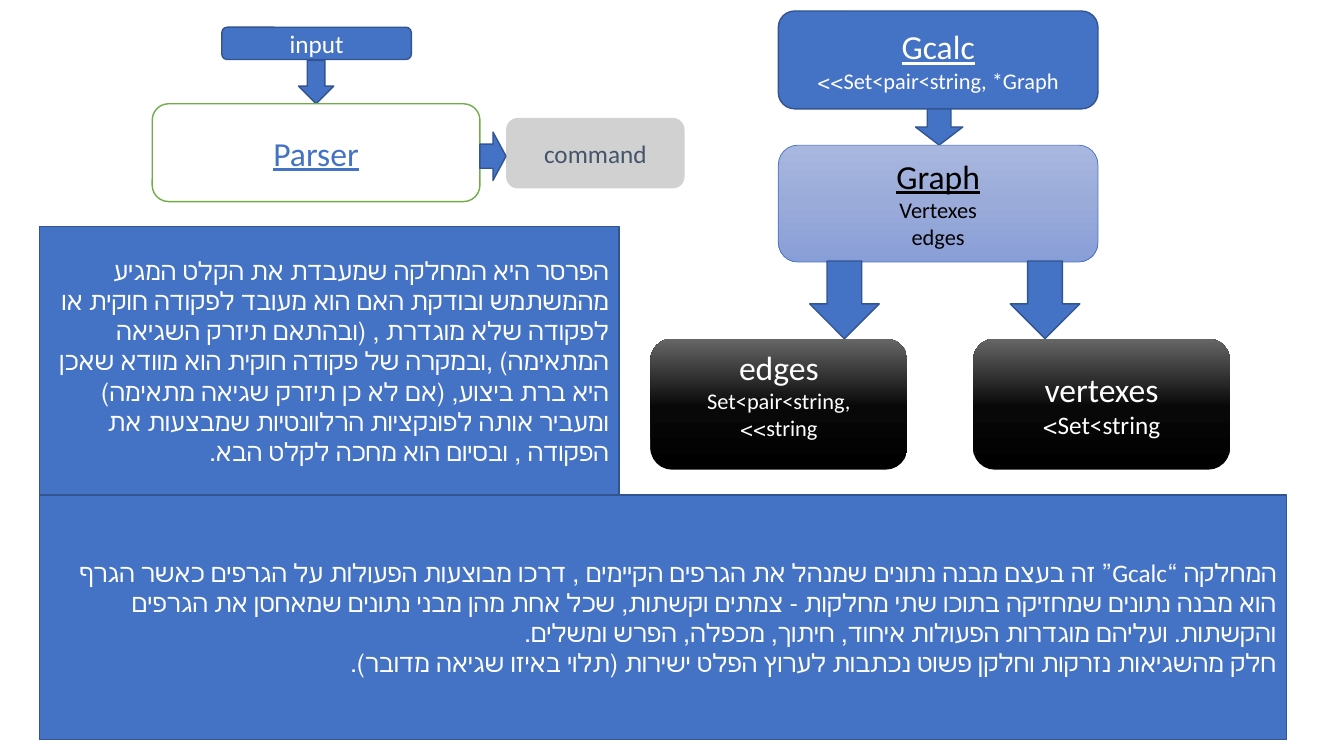
from copy import deepcopy

from lxml import etree
from pptx import Presentation
from pptx.dml.color import RGBColor
from pptx.enum import shapes, text
from pptx.oxml.ns import qn
from pptx.util import Inches, Pt

BLUE = RGBColor(0x44, 0x72, 0xC4)
EDGE = RGBColor(0x32, 0x54, 0x91)
GREEN = RGBColor(0x70, 0xAD, 0x47)
GRAY = RGBColor(0xA5, 0xA5, 0xA5)
SLATE = RGBColor(0x44, 0x54, 0x6A)
WHITE = RGBColor(0xFF, 0xFF, 0xFF)
BLACK = RGBColor(0, 0, 0)
SKY = [(0, RGBColor(0xA8, 0xB7, 0xDF)), (0.5, RGBColor(0x9A, 0xAB, 0xD9)),
       (1, RGBColor(0x88, 0x9E, 0xD7))]
COAL = [(0, BLACK), (0.48, RGBColor(8, 8, 8)), (1, RGBColor(0x66, 0x66, 0x66))]

KIND = shapes.MSO_SHAPE
ROUND, RECT = KIND.ROUNDED_RECTANGLE, KIND.RECTANGLE
DOWN, RIGHT = KIND.DOWN_ARROW, KIND.RIGHT_ARROW
MID, END = text.PP_ALIGN.CENTER, text.PP_ALIGN.RIGHT


def blend(shape, stops, angle):
    """Fill with three stops; the angle runs counter-clockwise."""
    fill = shape.fill
    fill.gradient()
    fill.gradient_angle = angle
    grid = shape._element.spPr.find(".//" + qn("a:gsLst"))
    grid.append(deepcopy(grid[-1]))
    for stop, (place, color) in zip(fill.gradient_stops, stops):
        stop.position = place
        stop.color.rgb = color


def fade(shape, share):
    """Set the opacity of a solid fill, in percent."""
    color = shape._element.spPr.find(".//" + qn("a:srgbClr"))
    etree.SubElement(color, qn("a:alpha")).set("val", str(share * 1000))


def block(slide, kind, box, fill=BLUE, line=EDGE, width=1, angle=270):
    shape = slide.shapes.add_shape(kind, *map(Inches, box))
    shape.shadow.inherit = False
    if isinstance(fill, list):
        blend(shape, fill, angle)
    else:
        shape.fill.solid()
        shape.fill.fore_color.rgb = fill
    if line is None:
        shape.line.fill.background()
    else:
        shape.line.color.rgb = line
        shape.line.width = Pt(width)
    return shape


def write(shape, *lines, color=WHITE, size=18, head=None, under=False,
          align=MID, lift=0, side=0.1):
    """Write right-to-left lines; head is the size of the first one."""
    frame = shape.text_frame
    frame.word_wrap = True
    frame.vertical_anchor = text.MSO_ANCHOR.MIDDLE
    frame.margin_left = frame.margin_right = Inches(side)
    frame.margin_bottom = Inches(0.05 + lift)
    for i, line in enumerate(lines):
        para = frame.add_paragraph() if i else frame.paragraphs[0]
        para.alignment = align
        para._p.get_or_add_pPr().set("rtl", "1")
        run = para.add_run()
        run.text = line
        font = run.font
        font.size = Pt(head if head and i == 0 else size)
        font.color.rgb = color
        font.underline = under and i == 0
        font.name = "Calibri"


def parser(slide, x, y):
    """Draw the flow from input through parser to command."""
    write(block(slide, ROUND, (x + 0.69, y, 1.88, 0.32)), "input")
    block(slide, DOWN, (x + 1.45, y + 0.33, 0.35, 0.43))
    main = block(slide, ROUND, (x, y + 0.76, 3.25, 0.97), WHITE, GREEN)
    write(main, "Parser", color=BLUE, head=24, under=True)
    block(slide, RIGHT, (x + 3.25, y + 1.04, 0.26, 0.48))
    order = block(slide, ROUND, (x + 3.51, y + 0.9, 1.77, 0.7), GRAY, None)
    fade(order, 50)
    write(order, "command", color=SLATE)


def store(slide, x, y):
    """Draw the class tree: calculator, graph and its two sets."""
    wide = 3.17
    calc = block(slide, ROUND, (x, y, wide, 0.97))
    write(calc, "Gcalc", "Set<pair<string, *Graph>>", size=16, head=24, under=True)
    block(slide, DOWN, (x + 1.36, y + 0.97, 0.47, 0.36))
    graph = block(slide, ROUND, (x, y + 1.33, wide, 1.16), SKY, BLUE, 0.5)
    write(graph, "Graph", "Vertexes", "edges", color=BLACK, size=16, head=24,
          under=True, lift=0.02)
    for shift in (0.31, 2.3):
        block(slide, DOWN, (x + shift, y + 2.48, 0.69, 0.77))
    sets = [(-1.27, ("edges", "Set<pair<string, string>>"), 16, 0.2, 0.3),
            (1.93, ("vertexes", "Set<string>"), 18, 0, 0.1)]
    for shift, lines, size, lift, side in sets:
        leaf = block(slide, ROUND, (x + shift, y + 3.25, 2.55, 1.3), COAL, None,
                     angle=90)
        write(leaf, *lines, size=size, head=24, lift=lift, side=side)


def notes(slide, x, y):
    """Draw the two stacked text panels."""
    top = block(slide, RECT, (x, y, 5.75, 2.66))
    write(top, "הפרסר היא המחלקה שמעבדת את הקלט המגיע מהמשתמש ובודקת האם הוא "
          "מעובד לפקודה חוקית או לפקודה שלא מוגדרת , (ובהתאם תיזרק השגיאה "
          "המתאימה) ,ובמקרה של פקודה חוקית הוא מוודא שאכן היא ברת ביצוע, "
          "(אם לא כן תיזרק שגיאה מתאימה) ומעביר אותה לפונקציות הרלוונטיות "
          "שמבצעות את הפקודה , ובסיום הוא מחכה לקלט הבא.", align=END)
    base = block(slide, RECT, (x, y + 2.66, 12.37, 2.43))
    write(base, "המחלקה “Gcalc” זה בעצם מבנה נתונים שמנהל את הגרפים הקיימים , "
          "דרכו מבוצעות הפעולות על הגרפים כאשר הגרף הוא מבנה נתונים שמחזיקה "
          "בתוכו שתי מחלקות - צמתים וקשתות, שכל אחת מהן מבני נתונים שמאחסן את "
          "הגרפים והקשתות. ועליהם מוגדרות הפעולות איחוד, חיתוך, מכפלה, הפרש "
          "ומשלים.",
          "חלק מהשגיאות נזרקות וחלקן פשוט נכתבות לערוץ הפלט ישירות "
          "(תלוי באיזו שגיאה מדובר).", align=END)


def main():
    deck = Presentation()
    deck.slide_width, deck.slide_height = Inches(13.33), Inches(7.5)
    slide = deck.slides.add_slide(deck.slide_layouts[6])
    parser(slide, 1.51, 0.27)
    store(slide, 7.72, 0.11)
    notes(slide, 0.39, 2.25)
    deck.save("out.pptx")


if __name__ == "__main__":
    main()
